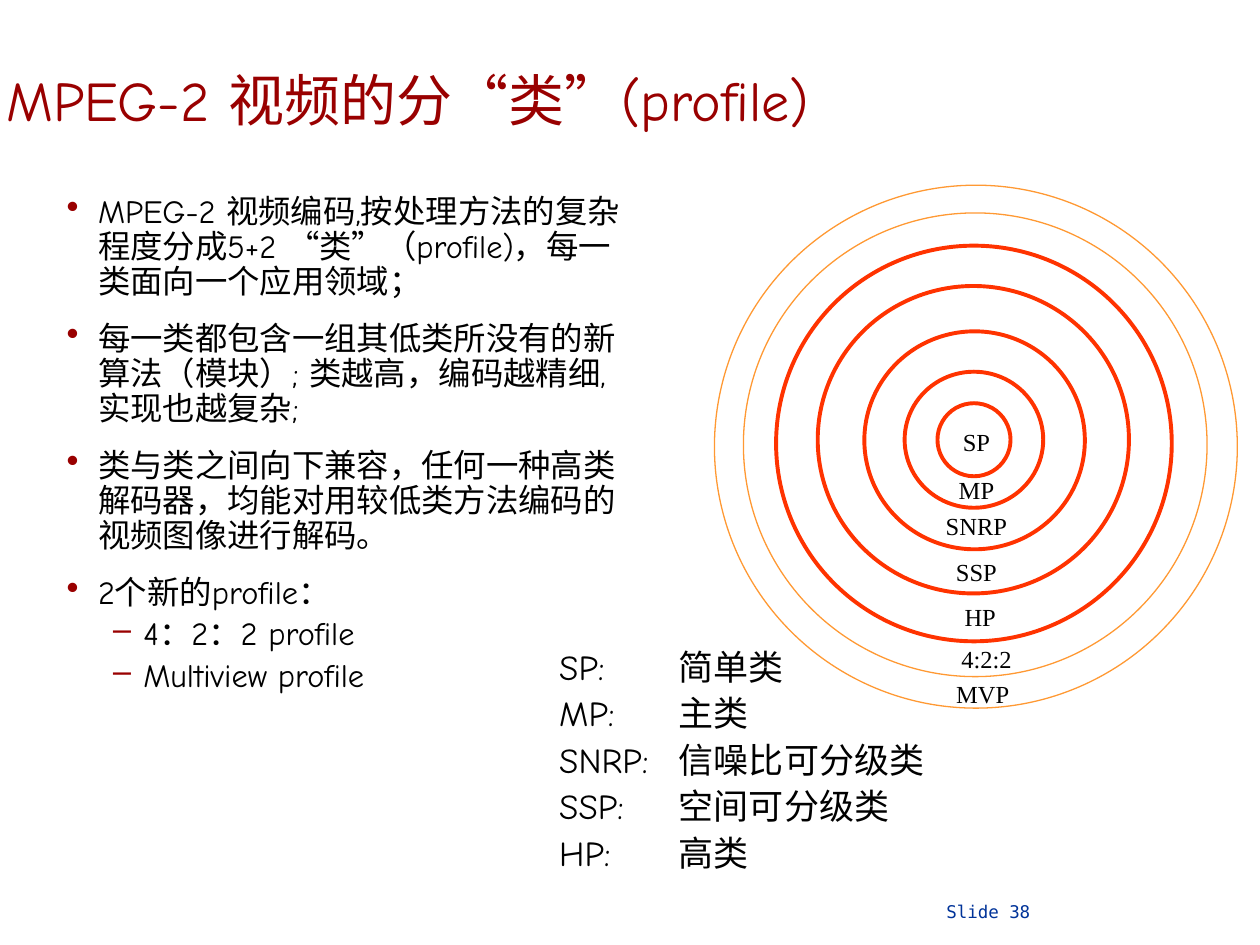
"""Build the slide on the MPEG-2 video profiles."""
from typing import NamedTuple

from lxml.etree import SubElement
from pptx import Presentation
from pptx.dml.color import RGBColor
from pptx.enum.shapes import MSO_SHAPE
from pptx.enum.text import MSO_ANCHOR, MSO_AUTO_SIZE, PP_ALIGN
from pptx.oxml.ns import qn
from pptx.util import Inches, Pt

DARK_RED = RGBColor(0x99, 0x00, 0x00)
BLACK = RGBColor(0x00, 0x00, 0x00)
NAVY = RGBColor(0x00, 0x33, 0x99)
RED = RGBColor(0xFF, 0x33, 0x00)
ORANGE = RGBColor(0xFF, 0x99, 0x33)
MAIN_FONT = "Comic Neue"
LABEL_FONT = "Times New Roman"
NUMBER_FONT = "DejaVu Sans Mono"


class Box(NamedTuple):
    left: float
    top: float
    width: float
    height: float


class Profile(NamedTuple):
    name: str
    ring: Box
    label: Box
    color: RGBColor = RED
    line_width: float = 2.25


class BulletStyle(NamedTuple):
    character: str
    size_percent: int
    margin: float
    hanging: float
    space_before: float


TOPIC = BulletStyle("•", 110, 0.25, 0.25, 12.5)
DETAIL = BulletStyle("–", 100, 0.61, 0.24, 3.7)

BULLETS = [
    (TOPIC, "MPEG-2 视频编码,按处理方法的复杂程度分成5+2 “类”（profile)，每一类面向一个应用领域；"),
    (TOPIC, "每一类都包含一组其低类所没有的新算法（模块）; 类越高，编码越精细, 实现也越复杂;"),
    (TOPIC, "类与类之间向下兼容，任何一种高类解码器，均能对用较低类方法编码的视频图像进行解码。"),
    (TOPIC, "2个新的profile："),
    (DETAIL, "4：2：2 profile"),
    (DETAIL, "Multiview profile"),
]

PROFILES = [
    Profile("MVP", Box(5.67, 1.47, 4.15, 4.15), Box(7.32, 5.34, 0.96, 0.34), ORANGE, 0.75),
    Profile("4:2:2", Box(5.9, 1.69, 3.68, 3.68), Box(7.35, 5.06, 0.96, 0.34), ORANGE, 0.75),
    Profile("HP", Box(6.16, 1.95, 3.14, 3.14), Box(7.21, 4.73, 1.14, 0.34)),
    Profile("SSP", Box(6.49, 2.27, 2.47, 2.44), Box(7.18, 4.37, 1.14, 0.34)),
    Profile("SNRP", Box(6.86, 2.63, 1.75, 1.73), Box(7.02, 4.01, 1.46, 0.34)),
    Profile("MP", Box(7.18, 2.95, 1.1, 1.08), Box(7.18, 3.72, 1.14, 0.34)),
    Profile("SP", Box(7.44, 3.2, 0.58, 0.58), Box(7.18, 3.34, 1.14, 0.34)),
]

LEGEND = [
    ("SP:", "简单类"),
    ("MP:", "主类"),
    ("SNRP:", "信噪比可分级类"),
    ("SSP:", "空间可分级类"),
    ("HP:", "高类"),
]


def inches(box: Box) -> list:
    return [Inches(length) for length in box]


def set_font(paragraph, name: str, size: float, color: RGBColor) -> None:
    paragraph.font.name = name
    paragraph.font.size = Pt(size)
    paragraph.font.color.rgb = color


def add_text_frame(slide, box: Box):
    text_frame = slide.shapes.add_textbox(*inches(box)).text_frame
    text_frame.word_wrap = True
    return text_frame


def add_paragraph(text_frame, text: str, index: int, space_before: float):
    paragraph = text_frame.add_paragraph() if index else text_frame.paragraphs[0]
    paragraph.text = text
    paragraph.line_spacing = 0.9
    if index:
        paragraph.space_before = Pt(space_before)
    return paragraph


def add_bullet(paragraph, style: BulletStyle) -> None:
    properties = paragraph._p.get_or_add_pPr()
    properties.set("marL", str(Inches(style.margin)))
    properties.set("indent", str(-Inches(style.hanging)))
    bullet_color = SubElement(properties, qn("a:buClr"))
    SubElement(bullet_color, qn("a:srgbClr"), val=str(DARK_RED))
    SubElement(properties, qn("a:buSzPct"), val=str(style.size_percent * 1000))
    SubElement(properties, qn("a:buChar"), char=style.character)


def add_tab_stop(paragraph, position: float) -> None:
    tab_list = SubElement(paragraph._p.get_or_add_pPr(), qn("a:tabLst"))
    SubElement(tab_list, qn("a:tab"), pos=str(Inches(position)), algn="l")


def format_title(slide) -> None:
    title = slide.shapes.title
    title.left, title.top, title.width, title.height = inches(Box(0, 0.58, 6.69, 0.96))
    text_frame = title.text_frame
    text_frame.margin_left = text_frame.margin_right = Inches(0.05)
    text_frame.margin_top = text_frame.margin_bottom = 0
    text_frame.vertical_anchor = MSO_ANCHOR.TOP
    text_frame.auto_size = MSO_AUTO_SIZE.NONE
    text_frame.word_wrap = False
    paragraph = add_paragraph(text_frame, "MPEG-2 视频的分“类”(profile)", 0, 0)
    paragraph.alignment = PP_ALIGN.LEFT
    set_font(paragraph, MAIN_FONT, 32, DARK_RED)


def add_body(slide) -> None:
    text_frame = add_text_frame(slide, Box(0.43, 1.5, 4.77, 4.58))
    for index, (style, text) in enumerate(BULLETS):
        paragraph = add_paragraph(text_frame, text, index, style.space_before)
        add_bullet(paragraph, style)
        paragraph.level = int(style is DETAIL)
        set_font(paragraph, MAIN_FONT, 18.5, BLACK)


def add_profile(slide, profile: Profile) -> None:
    ring = slide.shapes.add_shape(MSO_SHAPE.OVAL, *inches(profile.ring))
    ring.shadow.inherit = False
    ring.fill.background()
    ring.line.color.rgb = profile.color
    ring.line.width = Pt(profile.line_width)
    paragraph = add_text_frame(slide, profile.label).paragraphs[0]
    paragraph.text = profile.name
    paragraph.alignment = PP_ALIGN.CENTER
    set_font(paragraph, LABEL_FONT, 14, BLACK)


def add_legend(slide) -> None:
    text_frame = add_text_frame(slide, Box(4.34, 5.11, 3.1, 1.88))
    for index, (name, meaning) in enumerate(LEGEND):
        paragraph = add_paragraph(text_frame, f"{name}\t{meaning}", index, 5)
        add_tab_stop(paragraph, 0.95)
        set_font(paragraph, MAIN_FONT, 20, BLACK)


def add_slide_number(slide) -> None:
    text_frame = add_text_frame(slide, Box(7.42, 7.15, 2.58, 0.19))
    text_frame.margin_left = text_frame.margin_right = Inches(0.09)
    text_frame.margin_top = text_frame.margin_bottom = 0
    paragraph = text_frame.paragraphs[0]
    paragraph.text = "Slide 38"
    set_font(paragraph, NUMBER_FONT, 10, NAVY)


def main() -> None:
    presentation = Presentation()
    presentation.slide_width, presentation.slide_height = Inches(10), Inches(7.5)
    slide = presentation.slides.add_slide(presentation.slide_layouts[5])
    format_title(slide)
    add_body(slide)
    for profile in PROFILES:
        add_profile(slide, profile)
    add_legend(slide)
    add_slide_number(slide)
    presentation.save("out.pptx")


if __name__ == "__main__":
    main()
